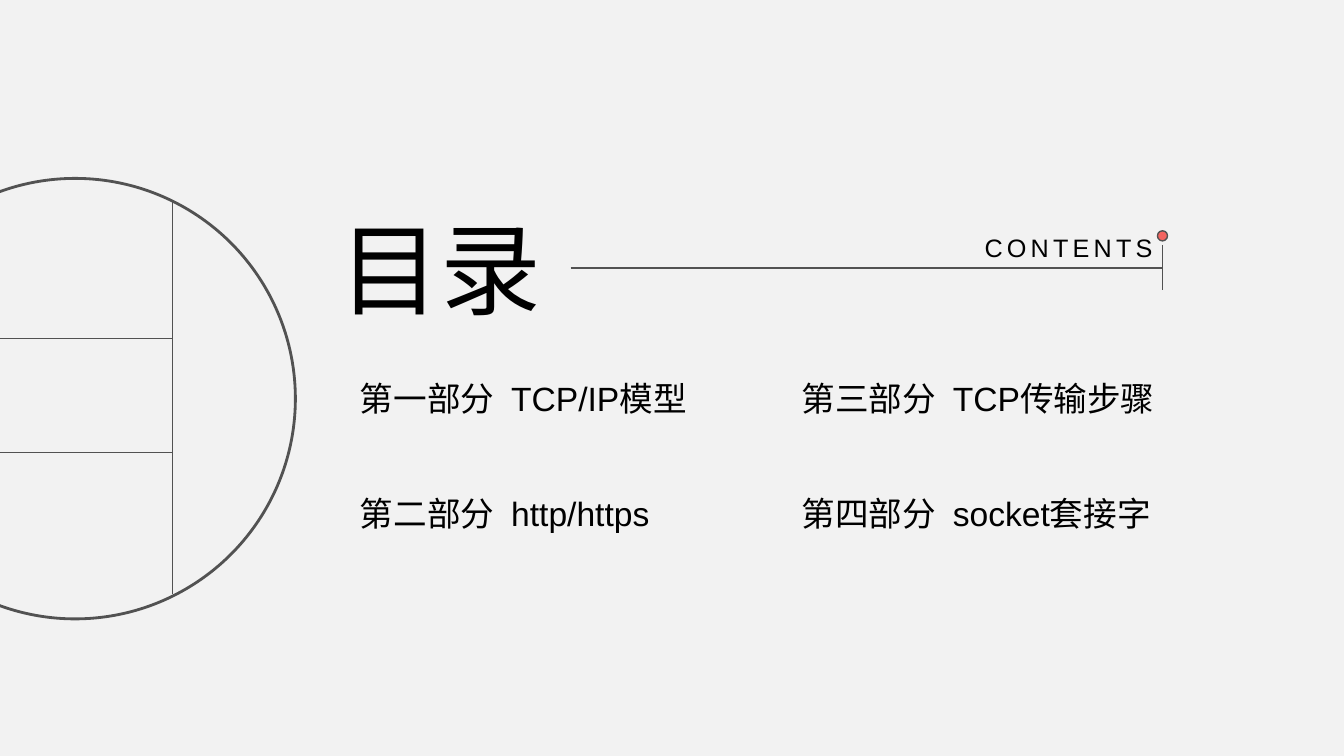
from lxml import etree
from pptx import Presentation
from pptx.dml.color import RGBColor
from pptx.enum.shapes import MSO_CONNECTOR, MSO_SHAPE
from pptx.enum.text import MSO_ANCHOR, MSO_AUTO_SIZE, PP_ALIGN
from pptx.oxml.ns import qn
from pptx.util import Inches, Pt

THEME = {
    "font": "Arial",
    "background": RGBColor(0xF2, 0xF2, 0xF2),
    "text": RGBColor(0, 0, 0),
    "line": RGBColor(0x52, 0x52, 0x52),
    "accent": RGBColor(0xF3, 0x64, 0x60),
    "title_size": Pt(72),
    "item_size": Pt(24),
    "label_size": Pt(18),
}


def write(box, bounds, text, size, align):
    box.left, box.top, box.width, box.height = map(Inches, bounds)
    frame = box.text_frame
    frame.word_wrap = True
    frame.auto_size = MSO_AUTO_SIZE.NONE
    frame.vertical_anchor = MSO_ANCHOR.MIDDLE
    paragraph = frame.paragraphs[0]
    paragraph.alignment = align
    paragraph.space_before = Pt(0)
    run = paragraph.add_run()
    run.text = text
    run.font.name = THEME["font"]
    run.font.size = size
    run.font.bold = False
    run.font.color.rgb = THEME["text"]
    return paragraph


def draw_circle(left, top, diameter, weight):
    circle = slide.shapes.add_shape(
        MSO_SHAPE.OVAL, Inches(left), Inches(top), Inches(diameter), Inches(diameter))
    circle.shadow.inherit = False
    circle.fill.background()
    circle.line.color.rgb = THEME["line"]
    circle.line.width = Pt(weight)
    return circle


prs = Presentation()
prs.slide_width, prs.slide_height = Inches(13.33), Inches(7.5)
slide = prs.slides.add_slide(prs.slide_layouts.get_by_name("Comparison"))
slide.background.fill.solid()
slide.background.fill.fore_color.rgb = THEME["background"]

title, *items = slide.placeholders
write(title, (2.53, 2, 2.94, 1.31), "目录", THEME["title_size"], PP_ALIGN.RIGHT)

sections = [
    ("第一部分", "TCP/IP模型"),
    ("第二部分", "http/https"),
    ("第三部分", "TCP传输步骤"),
    ("第四部分", "socket套接字"),
]
for index, (item, (part, topic)) in enumerate(zip(items, sections)):
    column, row = divmod(index, 2)
    bounds = (3.47 + 4.38 * column, 3.7 + 1.14 * row, 4.38, 0.5)
    entry = write(item, bounds, f"{part}\t{topic}", THEME["item_size"], PP_ALIGN.LEFT)
    properties = entry._p.get_or_add_pPr()
    properties.set("marL", "0")
    properties.set("indent", "0")
    etree.SubElement(properties, qn("a:buNone"))
    tab_stops = etree.SubElement(properties, qn("a:tabLst"))
    etree.SubElement(tab_stops, qn("a:tab"), pos=str(Inches(1.56)), algn="l")

contents = slide.shapes.add_textbox(0, 0, 0, 0)
label = write(contents, (9.04, 2.24, 2.49, 0.42), "CONTENTS", THEME["label_size"], PP_ALIGN.RIGHT)
label.runs[0].font._element.set("spc", "300")

draw_circle(-1.44, 1.77, 4.37, 2)

rules = [
    (5.66, 2.66, 11.53, 2.66),
    (-1.44, 4.49, 1.71, 4.49),
    (-1.44, 3.36, 1.71, 3.36),
    (1.71, 2, 1.71, 5.89),
    (11.53, 2.43, 11.53, 2.88),
]
for ends in rules:
    rule = slide.shapes.add_connector(MSO_CONNECTOR.STRAIGHT, *map(Inches, ends))
    rule.line.color.rgb = THEME["line"]
    rule.line.width = Pt(1)
    etree.SubElement(rule._element.spPr, qn("a:effectLst"))

marker = draw_circle(11.48, 2.29, 0.1, 1)
marker.fill.solid()
marker.fill.fore_color.rgb = THEME["accent"]

prs.save("out.pptx")
